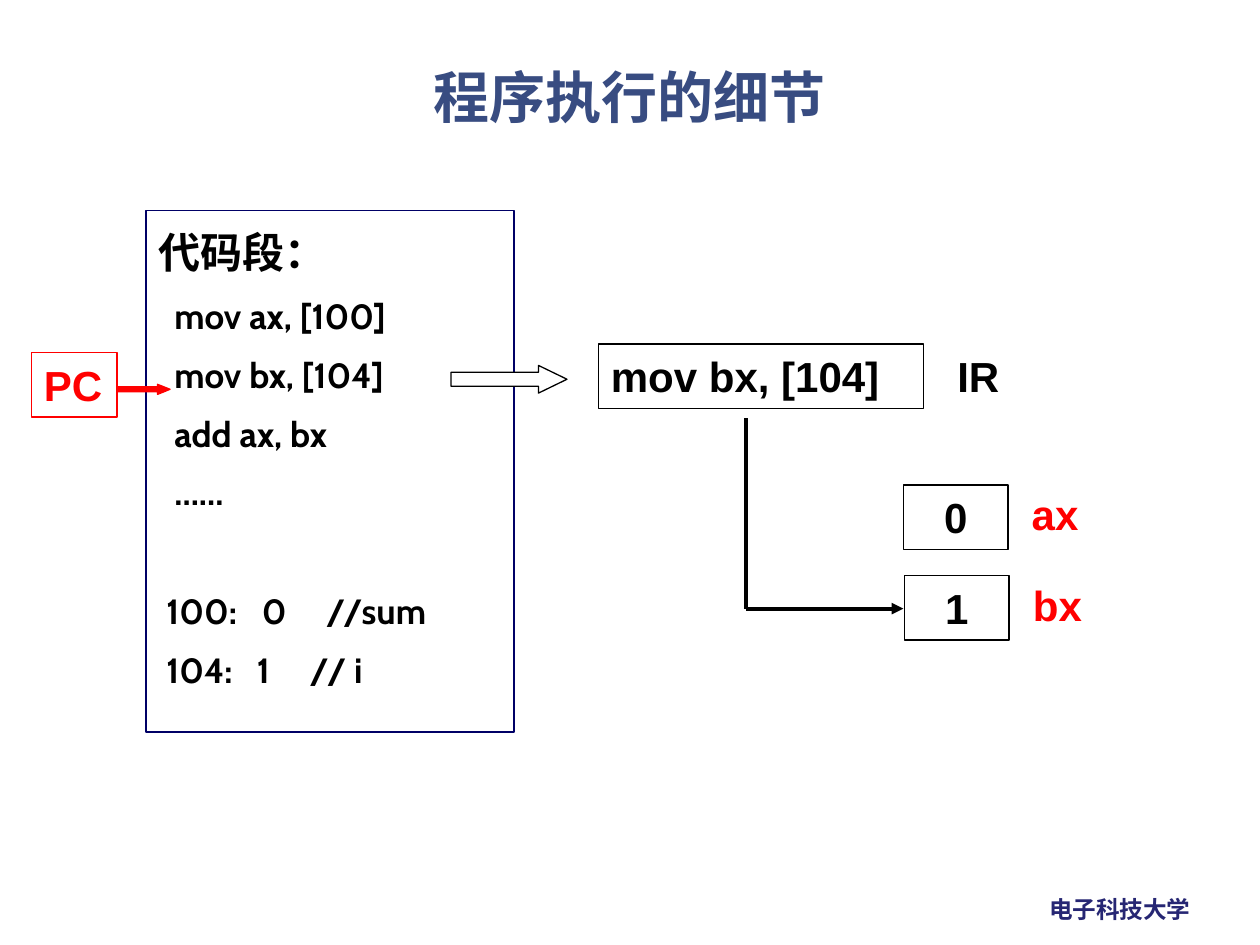
from lxml.etree import SubElement
from pptx import Presentation
from pptx.dml.color import RGBColor
from pptx.enum.shapes import MSO_CONNECTOR as Connector, MSO_SHAPE as Shape
from pptx.enum.text import MSO_ANCHOR as Anchor, PP_ALIGN as Align
from pptx.oxml.ns import qn
from pptx.util import Inches, Pt

COLORS = {
    "white": "FFFFFF",
    "black": "000000",
    "red": "FF0000",
    "navy": "000066",
    "title": "384C81",
    "school": "262673",
}
CJK_FONT = "Noto Sans CJK SC"
CODE_LINES = ["  mov ax, [100]", "  mov bx, [104]", "  add ax, bx", "  ……"]
DATA_LINES = [
    (" 100:\t0\t//sum", (0.82, 1.33), 43.7),
    (" 104:\t1\t// i", (0.78, 1.2), 9.7),
]


def color(name):
    return RGBColor.from_string(COLORS[name])


def add_span(para, text, size=24, ink="black", font="Arial"):
    span = para.add_run()
    span.text = text
    span.font.size = Pt(size)
    span.font.bold = True
    span.font.name = font
    span.font.color.rgb = color(ink)
    SubElement(span.font._element, qn("a:ea"), typeface=CJK_FONT)


def add_label(page, place, text, align=Align.LEFT, wrap=True,
              anchor=Anchor.TOP, **style):
    box = page.shapes.add_textbox(*map(Inches, place))
    frame = box.text_frame
    frame.word_wrap = wrap
    frame.vertical_anchor = anchor
    para = frame.paragraphs[0]
    para.alignment = align
    add_span(para, text, **style)
    return frame


def add_block(page, place, kind=Shape.RECTANGLE, fill=None, line="black"):
    block = page.shapes.add_shape(kind, *map(Inches, place))
    block.shadow.inherit = False
    if fill:
        block.fill.solid()
        block.fill.fore_color.rgb = color(fill)
    else:
        block.fill.background()
    block.line.color.rgb = color(line)
    block.line.width = Pt(0.75)
    return block


def add_register(page, place, text, ink="black", align=Align.LEFT, wrap=True):
    frame = add_block(page, place, line=ink).text_frame
    frame.word_wrap = wrap
    frame.vertical_anchor = Anchor.TOP
    para = frame.paragraphs[0]
    para.alignment = align
    add_span(para, text, ink=ink)


def add_block_arrow(page, place, head, fill, line):
    arrow = add_block(page, place, Shape.RIGHT_ARROW, fill, line)
    arrow.adjustments[0] = 0.5
    arrow.adjustments[1] = head


def add_line(page, start, end, arrow=False):
    line = page.shapes.add_connector(
        Connector.STRAIGHT, *map(Inches, (*start, *end)))
    line.line.color.rgb = color("black")
    line.line.width = Pt(2.25)
    if arrow:
        SubElement(line.line._get_or_add_ln(), qn("a:tailEnd"), type="triangle")
    SubElement(line._element.spPr, qn("a:effectLst"))


def add_code_line(frame, text, before=9.7, stops=()):
    para = frame.add_paragraph()
    if stops:
        tabs = SubElement(para._p.get_or_add_pPr(), qn("a:tabLst"))
        for stop in stops:
            SubElement(tabs, qn("a:tab"), pos=str(Inches(stop)), algn="l")
    para.space_before = Pt(before)
    add_span(para, text, size=20, font="Cabin")


def add_code_segment(page):
    add_block(page, (1.16, 1.67, 2.92, 4.14), fill="white", line="navy")
    frame = add_label(page, (1.16, 1.75, 3.5, 4), "代码段：")
    for text in CODE_LINES:
        add_code_line(frame, text)
    for text, stops, before in DATA_LINES:
        add_code_line(frame, text, before, stops)


def main():
    deck = Presentation()
    deck.slide_width, deck.slide_height = Inches(10), Inches(7.5)
    page = deck.slides.add_slide(deck.slide_layouts[6])

    add_label(page, (8.23, 7.05, 1.34, 0.33), "电子科技大学", wrap=False,
              size=13.5, ink="school", font=CJK_FONT)
    title = add_label(page, (0.68, 0.5, 8.64, 0.6), "程序执行的细节",
                      Align.CENTER, anchor=Anchor.MIDDLE,
                      size=32, ink="title", font=CJK_FONT)
    title.paragraphs[0].line_spacing = 0.9

    add_code_segment(page)
    add_block_arrow(page, (3.58, 2.9, 0.92, 0.22), 1.03, "white", "black")
    add_register(page, (0.25, 2.8, 0.68, 0.51), "PC", "red", wrap=False)
    add_block_arrow(page, (0.93, 3.05, 0.42, 0.08), 1.25, "red", "red")

    add_register(page, (4.75, 2.73, 2.58, 0.51), "mov bx, [104]")
    add_label(page, (7.5, 2.73, 1, 0.5), "IR")
    add_line(page, (5.92, 3.32), (5.92, 4.83))
    add_line(page, (5.92, 4.83), (7.17, 4.83), arrow=True)

    for name, value, left, top in (("ax", "0", 7.17, 3.85),
                                   ("bx", "1", 7.18, 4.57)):
        add_register(page, (left, top, 0.83, 0.51), value, align=Align.CENTER)
        add_label(page, (left + 0.92, top - 0.02, 1, 0.5), name, ink="red")

    deck.save("out.pptx")


if __name__ == "__main__":
    main()
